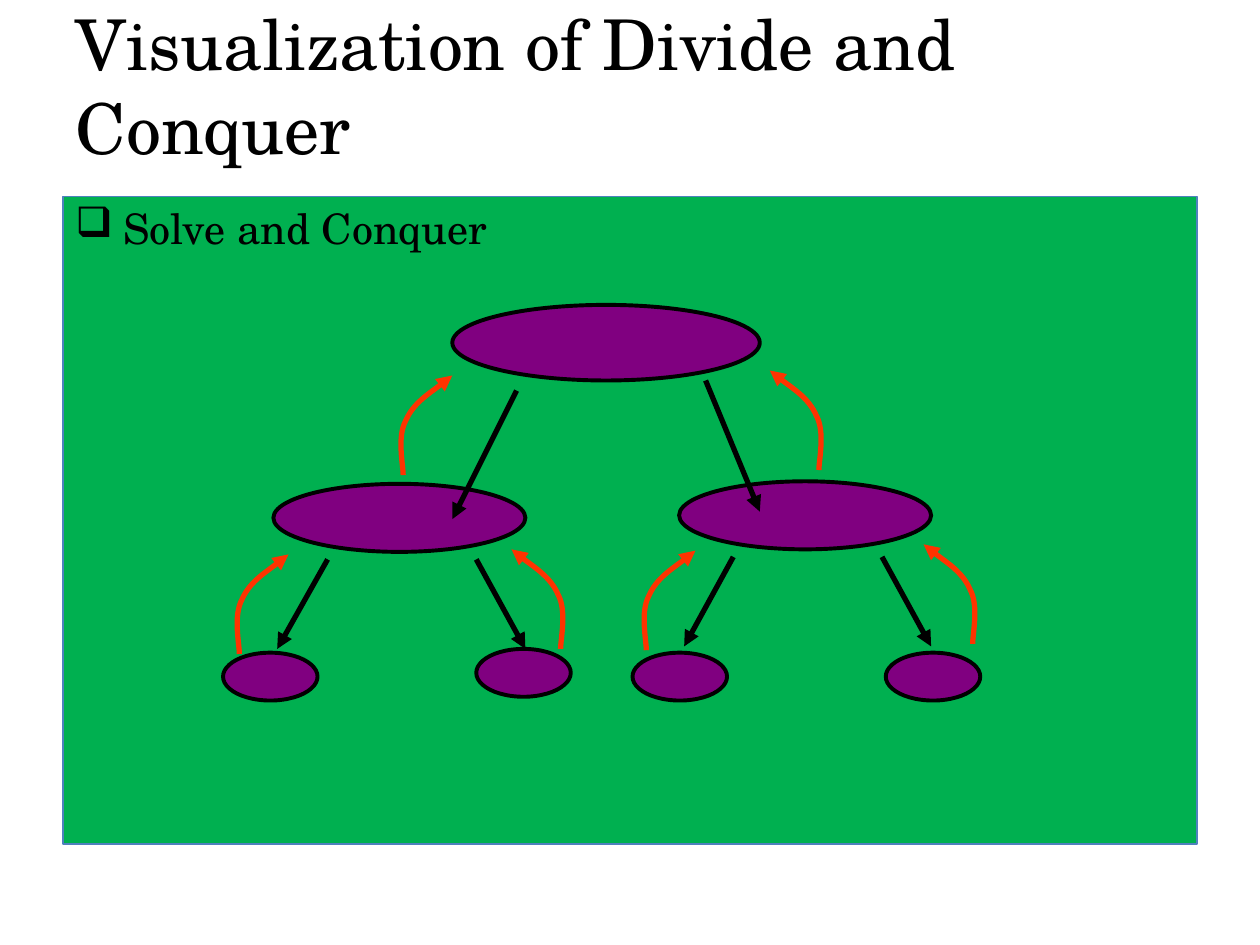
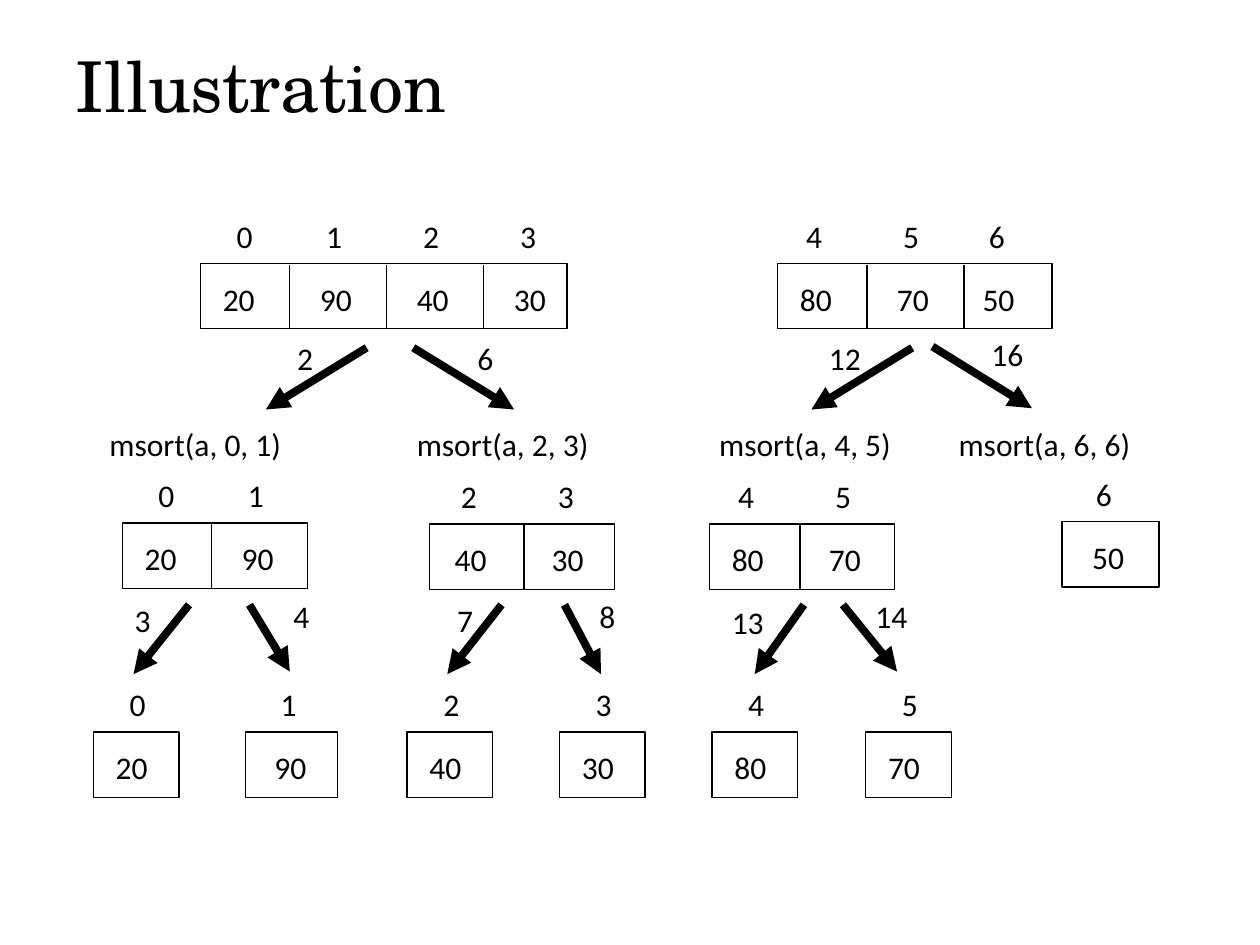
from dataclasses import dataclass
from typing import Any

import pptx
import pptx.dml.color
import pptx.enum.shapes
import pptx.enum.text
import pptx.oxml
import pptx.oxml.ns
import pptx.util

Inches = pptx.util.Inches
RGB = pptx.dml.color.RGBColor
qn = pptx.oxml.ns.qn
SHAPE = pptx.enum.shapes.MSO_SHAPE
ANCHOR = pptx.enum.text.MSO_ANCHOR
FIT = pptx.enum.text.MSO_AUTO_SIZE
LEFT = pptx.enum.text.PP_ALIGN.LEFT


# Colours, fonts and sizes
@dataclass(frozen=True)
class Theme:
    ink: str = "000000"
    panel: str = "00B050"
    panel_edge: str = "4F81BD"
    node: str = "800080"
    conquer: str = "FF3300"
    serif: str = "TeX Gyre Schola"
    sans: str = "Calibri"
    title_size: float = 40
    body_size: float = 24
    label_size: float = 18
    thin: float = 0.75
    node_edge: float = 2.25
    tree_arrow: float = 3
    split_arrow: float = 4.5


THEME = Theme()


@dataclass(frozen=True)
class Node:
    x: float
    y: float
    w: float
    h: float


@dataclass(frozen=True)
class Arrow:
    x1: float
    y1: float
    x2: float
    y2: float


@dataclass(frozen=True)
class Curve:
    x: float
    y: float
    side: int  # 1 bends up to the right, -1 up to the left


@dataclass(frozen=True)
class Label:
    text: str
    x: float
    y: float
    w: float


@dataclass(frozen=True)
class Array:
    left: float
    top: float
    width: float
    first: int
    values: tuple[int, ...]
    inset: float = 0.08
    divider: float = 0.71
    first_nudge: float = 0.06
    last_nudge: float = 0


CELL_PITCH, CELL_HEIGHT = 0.77, 0.52
LABEL_HEIGHT = 0.39
DIGIT_WIDTH, PAIR_WIDTH, CALL_WIDTH = 0.34, 0.5, 1.9

# Cubic points of a rising curve, measured from its start
RISE = ((0, -0.08), (-0.05, -0.3), (0.02, -0.43),
        (0.08, -0.57), (0.31, -0.72), (0.39, -0.79))

# Slide 1: recursion tree
NODES = (
    Node(3.59, 2.42, 2.44, 0.6),
    Node(2.17, 3.84, 2, 0.54), Node(5.39, 3.82, 2, 0.54),
    Node(1.77, 5.18, 0.75, 0.38), Node(3.78, 5.15, 0.75, 0.38),
    Node(5.02, 5.18, 0.75, 0.38), Node(7.03, 5.18, 0.75, 0.38),
)
DIVIDE_ARROWS = (
    Arrow(4.1, 3.1, 3.59, 4.12), Arrow(5.6, 3.02, 6.03, 4.06),
    Arrow(2.6, 4.44, 2.2, 5.15), Arrow(3.78, 4.44, 4.17, 5.15),
    Arrow(5.82, 4.42, 5.43, 5.13), Arrow(7, 4.42, 7.39, 5.13),
)
CONQUER_CURVES = (
    Curve(1.9, 5.19, 1), Curve(4.45, 5.15, -1),
    Curve(5.13, 5.16, 1), Curve(7.72, 5.11, -1),
    Curve(3.2, 3.77, 1), Curve(6.5, 3.73, -1),
)

# Slide 2: merge sort
ARRAYS = (
    Array(1.59, 2.09, 2.91, 0, (20, 90, 40, 30)),
    Array(6.17, 2.09, 2.18, 4, (80, 70, 50), first_nudge=0, last_nudge=-0.09),
    Array(0.97, 4.15, 1.47, 0, (20, 90)),
    Array(3.41, 4.16, 1.47, 2, (40, 30), inset=0.1, divider=0.75, first_nudge=0),
    Array(5.63, 4.16, 1.47, 4, (80, 70), divider=0.72, first_nudge=0),
    Array(8.43, 4.14, 0.77, 6, (50,), inset=0.14, first_nudge=-0.02),
    Array(0.74, 5.81, 0.68, 0, (20,)),
    Array(1.95, 5.81, 0.73, 1, (90,), inset=0.13, first_nudge=0),
    Array(3.23, 5.81, 0.68, 2, (40,)),
    Array(4.44, 5.81, 0.68, 3, (30,)),
    Array(5.65, 5.81, 0.68, 4, (80,)),
    Array(6.87, 5.81, 0.68, 5, (70,)),
)
SPLIT_ARROWS = (
    Arrow(2.91, 2.76, 2.11, 3.25), Arrow(3.28, 2.76, 4.08, 3.25),
    Arrow(7.24, 2.76, 6.44, 3.25), Arrow(7.4, 2.75, 8.19, 3.24),
    Arrow(1.5, 4.8, 1.06, 5.35), Arrow(1.98, 4.8, 2.3, 5.33),
    Arrow(3.98, 4.8, 3.55, 5.35), Arrow(4.48, 4.8, 4.77, 5.35),
    Arrow(6.38, 4.8, 5.99, 5.35), Arrow(6.69, 4.8, 7.12, 5.33),
)
CALLS = tuple(
    Label(f"msort(a, {lo}, {hi})", x, 3.32, CALL_WIDTH)
    for lo, hi, x in ((0, 1, 0.77), (2, 3, 3.21), (4, 5, 5.61), (6, 6, 7.51))
)
STEPS = (
    Label("2", 2.26, 2.64, DIGIT_WIDTH), Label("3", 0.97, 4.72, DIGIT_WIDTH),
    Label("4", 2.23, 4.69, DIGIT_WIDTH), Label("6", 3.69, 2.64, DIGIT_WIDTH),
    Label("7", 3.53, 4.72, DIGIT_WIDTH), Label("8", 4.66, 4.69, DIGIT_WIDTH),
    Label("12", 6.48, 2.64, PAIR_WIDTH), Label("13", 5.71, 4.74, PAIR_WIDTH),
    Label("14", 6.85, 4.69, PAIR_WIDTH), Label("16", 7.77, 2.61, PAIR_WIDTH),
)


# Formatting helpers
def set_format(target: Any, values: dict[str, Any]) -> None:
    for name, value in values.items():
        setattr(target, name, value)


def write(tf: Any, text: str, font: str, size: float, frame: dict[str, Any]) -> Any:
    set_format(tf, frame)
    p = tf.paragraphs[0]
    p.alignment = LEFT
    r = p.add_run()
    r.text = text
    set_format(r.font, {"name": font, "size": pptx.util.Pt(size)})
    r.font.color.rgb = RGB.from_string(THEME.ink)
    return p


def set_line(sp: Any, color: str, width: float, arrow: bool = False) -> None:
    sp.line.color.rgb = RGB.from_string(color)
    sp.line.width = pptx.util.Pt(width)
    if arrow:
        ln = sp._element.spPr.find(qn("a:ln"))
        ln.append(pptx.oxml.parse_xml(
            f'<a:tailEnd {pptx.oxml.ns.nsdecls("a")} type="triangle"/>'))


def set_fill(sp: Any, color: str | None) -> None:
    sp.shadow.inherit = False
    if color is None:
        sp.fill.background()
    else:
        sp.fill.solid()
        sp.fill.fore_color.rgb = RGB.from_string(color)


# Drawing functions
def add_titled_slide(prs: Any, title: str) -> Any:
    s = prs.slides.add_slide(prs.slide_layouts[5])
    sp = s.shapes.title
    set_format(sp, {"left": Inches(0.5), "top": Inches(0.3),
                    "width": Inches(9), "height": Inches(0.74)})
    write(sp.text_frame, title, THEME.serif, THEME.title_size,
          {"word_wrap": True, "auto_size": FIT.NONE, "vertical_anchor": ANCHOR.MIDDLE})
    return s


def draw_shape(s: Any, kind: Any, box: Node, fill: str | None,
               edge: str, width: float) -> Any:
    sp = s.shapes.add_shape(kind, Inches(box.x), Inches(box.y),
                            Inches(box.w), Inches(box.h))
    set_fill(sp, fill)
    set_line(sp, edge, width)
    return sp


def draw_line(s: Any, a: Arrow, width: float, arrow: bool = True) -> None:
    cn = s.shapes.add_connector(
        pptx.enum.shapes.MSO_CONNECTOR.STRAIGHT,
        Inches(a.x1), Inches(a.y1), Inches(a.x2), Inches(a.y2))
    set_line(cn, THEME.ink, width, arrow)
    cn._element.spPr.append(pptx.oxml.parse_xml(
        f'<a:effectLst {pptx.oxml.ns.nsdecls("a")}/>'))


def draw_curve(s: Any, c: Curve) -> None:
    fb = s.shapes.build_freeform(Inches(c.x), Inches(c.y))
    fb.add_line_segments([(Inches(c.x + c.side * dx), Inches(c.y + dy))
                          for dx, dy in RISE], close=False)
    sp = fb.convert_to_shape()
    # Merge every three straight segments into one cubic segment
    segments = list(sp._element.iter(qn("a:lnTo")))
    for i in range(0, len(segments), 3):
        cubic = pptx.oxml.parse_xml(f'<a:cubicBezTo {pptx.oxml.ns.nsdecls("a")}/>')
        segments[i].addprevious(cubic)
        for segment in segments[i:i + 3]:
            cubic.append(segment[0])
            segment.getparent().remove(segment)
    set_fill(sp, None)
    set_line(sp, THEME.conquer, THEME.tree_arrow, arrow=True)


def draw_label(s: Any, label: Label) -> None:
    sp = s.shapes.add_textbox(Inches(label.x), Inches(label.y),
                              Inches(label.w), Inches(LABEL_HEIGHT))
    write(sp.text_frame, label.text, THEME.sans, THEME.label_size,
          {"word_wrap": False, "auto_size": FIT.SHAPE_TO_FIT_TEXT})


def draw_array(s: Any, a: Array) -> None:
    draw_shape(s, SHAPE.RECTANGLE, Node(a.left, a.top, a.width, CELL_HEIGHT),
               None, THEME.ink, THEME.thin)
    last = len(a.values) - 1
    for i, value in enumerate(a.values):
        x = a.left + a.inset + i * CELL_PITCH + (a.last_nudge if i == last else 0)
        index_x = x + 0.05 + (a.first_nudge if i == 0 else 0)
        draw_label(s, Label(str(value), x, a.top + 0.08, PAIR_WIDTH))
        draw_label(s, Label(str(a.first + i), index_x, a.top - 0.42, DIGIT_WIDTH))
        if i < last:
            wall = a.left + a.divider + i * CELL_PITCH
            draw_line(s, Arrow(wall, a.top + 0.01, wall, a.top + CELL_HEIGHT),
                      THEME.thin, arrow=False)


# Slides
def build_tree_slide(prs: Any) -> None:
    s = add_titled_slide(prs, "Visualization of Divide and Conquer")
    panel = draw_shape(s, SHAPE.RECTANGLE, Node(0.5, 1.56, 9, 5.14),
                       THEME.panel, THEME.panel_edge, THEME.thin)
    p = write(panel.text_frame, "Solve and Conquer", THEME.serif, THEME.body_size,
              {"word_wrap": True, "vertical_anchor": ANCHOR.TOP})
    pPr = p._p.get_or_add_pPr()
    pPr.set("marL", str(Inches(0.38)))
    pPr.set("indent", str(-Inches(0.38)))
    pPr.append(pptx.oxml.parse_xml(
        f'<a:buChar {pptx.oxml.ns.nsdecls("a")} char="❑"/>'))
    for curve in CONQUER_CURVES:
        draw_curve(s, curve)
    for node in NODES:
        draw_shape(s, SHAPE.OVAL, node, THEME.node, THEME.ink, THEME.node_edge)
    for arrow in DIVIDE_ARROWS:
        draw_line(s, arrow, THEME.tree_arrow)


def build_sort_slide(prs: Any) -> None:
    s = add_titled_slide(prs, "Illustration")
    for array in ARRAYS:
        draw_array(s, array)
    for arrow in SPLIT_ARROWS:
        draw_line(s, arrow, THEME.split_arrow)
    for label in CALLS + STEPS:
        draw_label(s, label)


def main() -> None:
    prs = pptx.Presentation()
    set_format(prs, {"slide_width": Inches(10), "slide_height": Inches(7.5)})
    build_tree_slide(prs)
    build_sort_slide(prs)
    prs.save("out.pptx")


if __name__ == "__main__":
    main()
